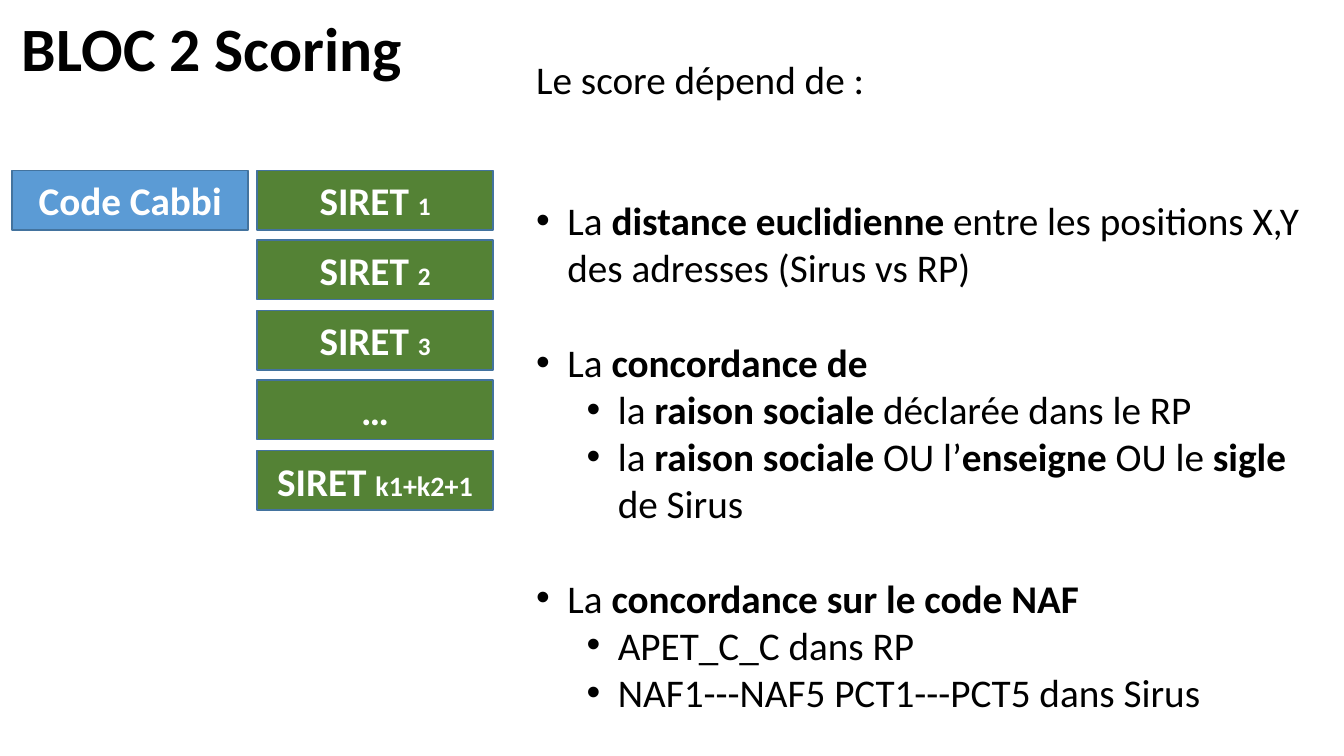
from dataclasses import dataclass

from lxml import etree
from pptx import Presentation
from pptx.dml.color import RGBColor
from pptx.enum.shapes import MSO_SHAPE
from pptx.enum.text import MSO_ANCHOR, MSO_AUTO_SIZE, PP_ALIGN
from pptx.oxml.ns import qn
from pptx.slide import Slide
from pptx.text.text import TextFrame, _Paragraph
from pptx.util import Emu, Pt

RECTANGLE = MSO_SHAPE.RECTANGLE
MIDDLE = MSO_ANCHOR.MIDDLE
CENTER = PP_ALIGN.CENTER
GROW = MSO_AUTO_SIZE.SHAPE_TO_FIT_TEXT

EMU_PER_PX = 9144  # 100 px to the inch
BLANK_LAYOUT = 6


@dataclass(frozen=True)
class Theme:
    font: str = "Calibri"
    ink: str = "000000"
    label: str = "FFFFFF"
    cabbi: str = "5B9BD5"
    siret: str = "548235"
    border: str = "43739E"
    title_size: int = 44
    body_size: int = 28


@dataclass(frozen=True)
class Area:
    left: int
    top: int
    width: int
    height: int

    def emu(self) -> tuple[Emu, ...]:
        sides = (self.left, self.top, self.width, self.height)
        return tuple(Emu(side * EMU_PER_PX) for side in sides)


@dataclass(frozen=True)
class CodeBox:
    name: str
    index: str = ""
    index_size: int = 18


@dataclass(frozen=True)
class Criterion:
    text: str  # ** switches bold on and off
    level: int = 0
    space_before: int = 0
    bullet: bool = True


THEME = Theme()
PAGE_WIDTH, PAGE_HEIGHT = 1333, 750

# Grid of code boxes
BOX_WIDTH, BOX_HEIGHT = 234, 59
CABBI_LEFT, SIRET_LEFT, GRID_TOP = 12, 255, 169
FOUR_ROWS = 278

# Bullet indents, one per level
BULLET_INDENTS = (31, 81)
HANGING = 31

SIRET_BOXES = (
    CodeBox("SIRET ", "1"),
    CodeBox("SIRET ", "2"),
    CodeBox("SIRET ", "3"),
    CodeBox("…"),
    CodeBox("SIRET ", "k1+k2+1", 20),
)

CRITERIA = (
    Criterion("Le score dépend de :", bullet=False),
    Criterion("La **distance euclidienne **entre les positions X,Y des adresses (Sirus vs RP)",
              space_before=67),
    Criterion("La **concordance de", space_before=34),
    Criterion("la **raison sociale **déclarée dans le RP", 1),
    Criterion("la **raison sociale **OU l’**enseigne** OU le **sigle** de Sirus", 1),
    Criterion("La **concordance sur le code NAF", space_before=34),
    Criterion("APET_C_C dans RP", 1),
    Criterion("NAF1---NAF5 PCT1---PCT5 dans Sirus", 1),
)


def add_span(para: _Paragraph, text: str, size: int, color: str, bold: bool) -> None:
    span = para.add_run()
    span.text = text
    span.font.name = THEME.font
    span.font.size = Pt(size)
    span.font.bold = bold
    span.font.color.rgb = RGBColor.from_string(color)


def add_text_area(page: Slide, area: Area) -> TextFrame:
    frame = page.shapes.add_textbox(*area.emu()).text_frame
    frame.word_wrap = True
    frame.auto_size = GROW
    return frame


def add_code_box(page: Slide, box: CodeBox, left: int, top: int, fill: str) -> None:
    area = Area(left, top, BOX_WIDTH, BOX_HEIGHT)
    shape = page.shapes.add_shape(RECTANGLE, *area.emu())
    shape.shadow.inherit = False
    shape.fill.solid()
    shape.fill.fore_color.rgb = RGBColor.from_string(fill)
    shape.line.color.rgb = RGBColor.from_string(THEME.border)
    shape.line.width = Pt(1)
    shape.text_frame.vertical_anchor = MIDDLE
    para = shape.text_frame.paragraphs[0]
    para.alignment = CENTER
    add_span(para, box.name, THEME.body_size, THEME.label, True)
    if box.index:
        add_span(para, box.index, box.index_size, THEME.label, True)


def set_bullet(para: _Paragraph, level: int) -> None:
    para.level = level
    properties = para._p.get_or_add_pPr()
    properties.set("marL", str(BULLET_INDENTS[level] * EMU_PER_PX))
    properties.set("indent", str(-HANGING * EMU_PER_PX))
    etree.SubElement(properties, qn("a:buFont"), typeface="Arial")
    etree.SubElement(properties, qn("a:buChar"), char="•")


def write_criterion(para: _Paragraph, criterion: Criterion) -> None:
    para.space_before = Pt(criterion.space_before)
    if criterion.bullet:
        set_bullet(para, criterion.level)
    for position, text in enumerate(criterion.text.split("**")):
        add_span(para, text, THEME.body_size, THEME.ink, position % 2 == 1)


def main() -> None:
    deck = Presentation()
    deck.slide_width = Emu(PAGE_WIDTH * EMU_PER_PX)
    deck.slide_height = Emu(PAGE_HEIGHT * EMU_PER_PX)
    page = deck.slides.add_slide(deck.slide_layouts[BLANK_LAYOUT])

    # Title
    title = add_text_area(page, Area(12, 5, 463, 84))
    add_span(title.paragraphs[0], "BLOC 2 Scoring", THEME.title_size, THEME.ink, True)

    # Code boxes
    add_code_box(page, CodeBox("Code Cabbi"), CABBI_LEFT, GRID_TOP, THEME.cabbi)
    for row, box in enumerate(SIRET_BOXES):
        top = GRID_TOP + row * FOUR_ROWS // 4
        add_code_box(page, box, SIRET_LEFT, top, THEME.siret)

    # Scoring criteria
    frame = add_text_area(page, Area(522, 50, 787, 669))
    for number, criterion in enumerate(CRITERIA):
        para = frame.add_paragraph() if number else frame.paragraphs[0]
        write_criterion(para, criterion)

    deck.save("out.pptx")


if __name__ == "__main__":
    main()
